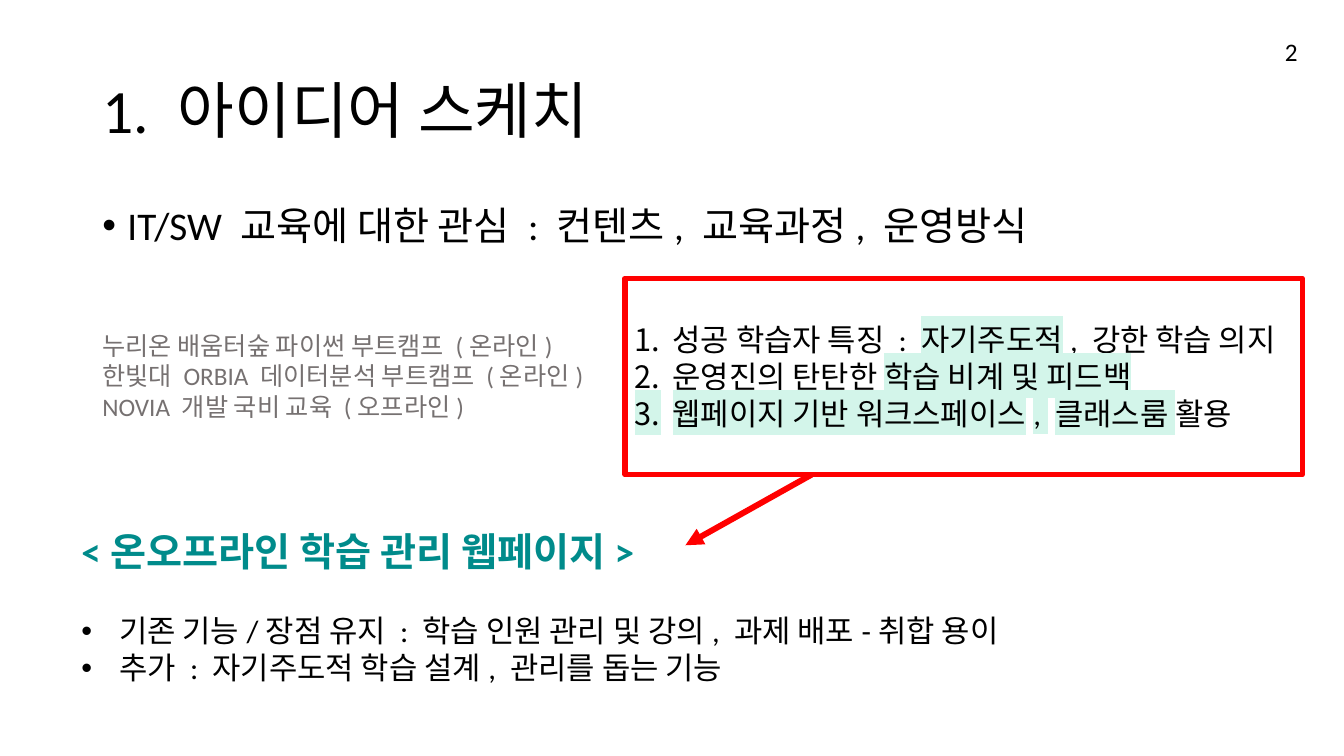
from lxml.etree import SubElement
from pptx import Presentation
from pptx.dml.color import RGBColor
from pptx.enum.shapes import MSO_CONNECTOR as Connector, MSO_SHAPE as Shape
from pptx.enum.text import MSO_ANCHOR as Anchor, PP_ALIGN as Align
from pptx.oxml import parse_xml
from pptx.oxml.ns import nsdecls, qn
from pptx.util import Pt

COLORS = {
    "black": "000000",
    "gray": "767171",
    "teal": "008B8B",
    "red": "FF0000",
    "mint": "D3F5EA",
}
FONT = "Calibri"


def color(name):
    return RGBColor.from_string(COLORS[name])


def highlight(run):
    marker = parse_xml(
        f'<a:highlight {nsdecls("a")}><a:srgbClr val="{COLORS["mint"]}"/></a:highlight>'
    )
    run._r.rPr.find(qn("a:solidFill")).addnext(marker)


def format_paragraph(paragraph, size, color_name="black", bold=False):
    paragraph.alignment = Align.LEFT
    for run in paragraph.runs:
        run.font.name = FONT
        run.font.size = Pt(size)
        run.font.bold = bold
        run.font.color.rgb = color(color_name)


def add_list_mark(paragraph, indent, numbered=False):
    properties = paragraph._p.get_or_add_pPr()
    properties.set("marL", str(Pt(indent)))
    properties.set("indent", str(-Pt(indent)))
    SubElement(properties, qn("a:buFont")).set("typeface", FONT if numbered else "Arial")
    if numbered:
        SubElement(properties, qn("a:buAutoNum")).set("type", "arabicPeriod")
    else:
        SubElement(properties, qn("a:buChar")).set("char", "•")


def add_text(slide, box, text, size, color_name="black", anchor=Anchor.TOP):
    frame = slide.shapes.add_textbox(*map(Pt, box)).text_frame
    frame.word_wrap = True
    frame.vertical_anchor = anchor
    frame.text = text
    for paragraph in frame.paragraphs:
        format_paragraph(paragraph, size, color_name)
    return frame


def add_title(slide, box, text):
    frame = add_text(slide, box, text, 44, anchor=Anchor.MIDDLE)
    frame.paragraphs[0].line_spacing = 0.9


def add_topic(slide, box, text):
    paragraph = add_text(slide, box, text, 28).paragraphs[0]
    paragraph.line_spacing = 0.9
    add_list_mark(paragraph, 18)


def add_findings(slide, box, findings):
    shape = slide.shapes.add_shape(Shape.RECTANGLE, *map(Pt, box))
    shape.shadow.inherit = False
    shape.fill.background()
    shape.line.color.rgb = color("red")
    shape.line.width = Pt(3.75)
    frame = shape.text_frame
    frame.word_wrap = True
    frame.vertical_anchor = Anchor.MIDDLE
    for index, parts in enumerate(findings):
        paragraph = frame.add_paragraph() if index else frame.paragraphs[0]
        for text, _ in parts:
            paragraph.add_run().text = text
        format_paragraph(paragraph, 22)
        add_list_mark(paragraph, 27, numbered=True)
        for run, (_, marked) in zip(paragraph.runs, parts):
            if marked:
                highlight(run)


def add_arrow(slide, start, end):
    arrow = slide.shapes.add_connector(Connector.STRAIGHT, *map(Pt, start + end))
    arrow.line.color.rgb = color("red")
    arrow.line.width = Pt(4.25)
    SubElement(arrow.line._get_or_add_ln(), qn("a:tailEnd")).set("type", "triangle")
    SubElement(arrow._element.spPr, qn("a:effectLst"))


def add_proposal(slide, box, heading, features):
    frame = add_text(slide, box, "\n".join([heading, *features]), 22)
    heading_paragraph, *feature_paragraphs = frame.paragraphs
    format_paragraph(heading_paragraph, 28, "teal", bold=True)
    feature_paragraphs[0].space_before = Pt(27)
    for paragraph in feature_paragraphs:
        add_list_mark(paragraph, 27)


def build_idea_slide(presentation):
    slide = presentation.slides.add_slide(presentation.slide_layouts[6])
    add_title(slide, (66, 28.8, 828, 104.4), "1. 아이디어 스케치")
    add_topic(slide, (66, 144, 828, 342.7),
              "IT/SW 교육에 대한 관심 : 컨텐츠, 교육과정, 운영방식")
    add_text(
        slide, (66, 232.5, 384, 72.7),
        "누리온 배움터숲 파이썬 부트캠프 (온라인)\n"
        "한빛대 ORBIA 데이터분석 부트캠프 (온라인)\n"
        "NOVIA 개발 국비 교육 (오프라인)",
        18, "gray",
    )
    add_findings(slide, (446.4, 198.7, 483.8, 140.4), [
        [("성공 학습자 특징 : ", False), ("자기주도적", True), (", 강한 학습 의지", False)],
        [("운영진의 탄탄한 ", False), ("학습 비계 및 피드백", True)],
        [("웹페이지 기반 워크스페이스, 클래스룸 ", True), ("활용", False)],
    ])
    add_proposal(slide, (51.1, 373, 789, 121), "<온오프라인 학습 관리 웹페이지>", [
        "기존 기능/장점 유지 : 학습 인원 관리 및 강의, 과제 배포-취합 용이",
        "추가 : 자기주도적 학습 설계, 관리를 돕는 기능",
    ])
    add_arrow(slide, (579.6, 339.1), (489.6, 389.5))
    add_text(slide, (910.8, 22.3, 31.7, 28.8), "2", 18)


def main():
    presentation = Presentation()
    presentation.slide_width = Pt(960)
    presentation.slide_height = Pt(540)
    build_idea_slide(presentation)
    presentation.save("out.pptx")


if __name__ == "__main__":
    main()
